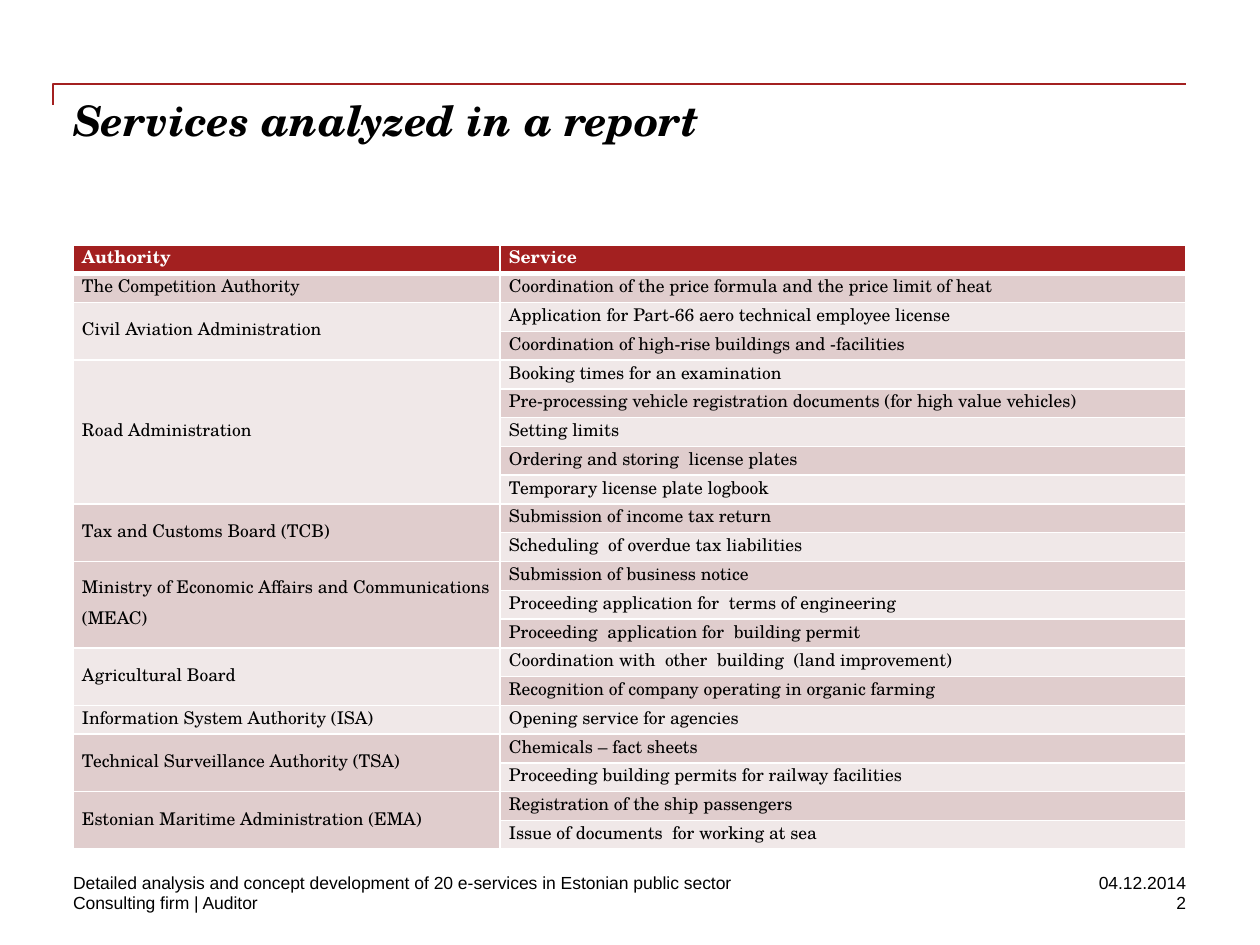
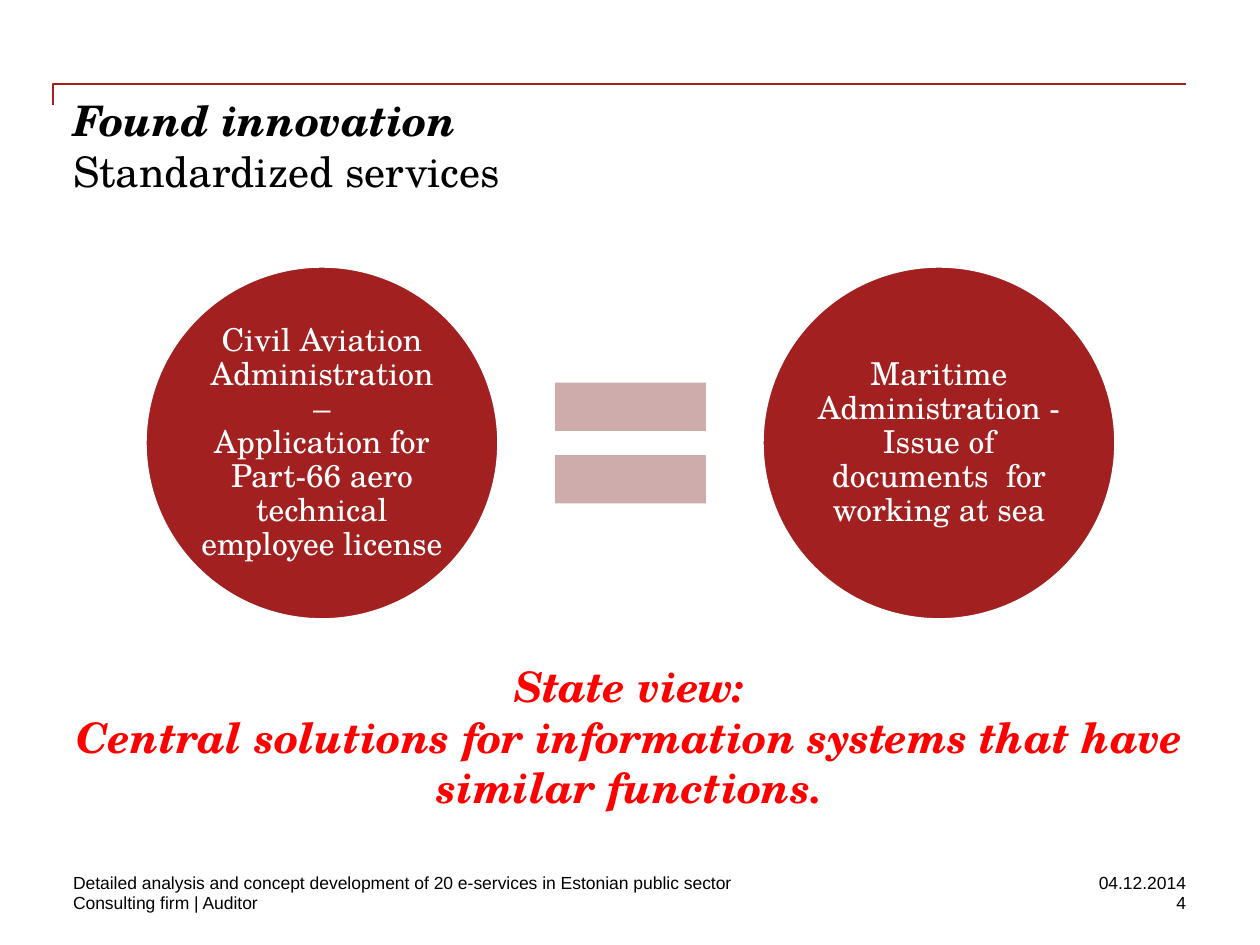
from pptx import Presentation
from pptx.dml.color import RGBColor
from pptx.enum.shapes import MSO_SHAPE
from pptx.enum.text import MSO_ANCHOR, PP_ALIGN
from pptx.oxml.ns import qn
from pptx.util import Emu, Pt
from lxml.etree import SubElement

PX_PER_INCH = 126
SERIF, SANS = "TeX Gyre Schola", "Arial"
COLORS = {
    "brand": "A32020",
    "band_dark": "E0CDCD",
    "band_light": "F0E8E8",
    "equal_sign": "CEACAC",
    "text": "000000",
    "white": "FFFFFF",
    "highlight": "FF0000",
}

LEFT, WIDTH = 73, 1113
RIGHT = LEFT + WIDTH
REPORT = "Detailed analysis and concept development of 20 e-services in Estonian public sector"
AUTHORS = "Consulting firm | Auditor"
DATE = "04.12.2014"

SERVICES_BY_AUTHORITY = [
    ("The Competition Authority", ["Coordination of the price formula and the price limit of heat"]),
    ("Civil Aviation Administration", [
        "Application for Part-66 aero technical employee license",
        "Coordination of high-rise buildings and -facilities"]),
    ("Road Administration", [
        "Booking times for an examination",
        "Pre-processing vehicle registration documents (for high value vehicles)",
        "Setting limits",
        "Ordering and storing  license plates",
        "Temporary license plate logbook"]),
    ("Tax and Customs Board (TCB)", [
        "Submission of income tax return",
        "Scheduling  of overdue tax liabilities"]),
    ("Ministry of Economic Affairs and Communications\n(MEAC)", [
        "Submission of business notice",
        "Proceeding application for  terms of engineering",
        "Proceeding  application for  building permit"]),
    ("Agricultural Board", [
        "Coordination with  other  building  (land improvement)",
        "Recognition of company operating in organic farming"]),
    ("Information System Authority (ISA)", ["Opening service for agencies"]),
    ("Technical Surveillance Authority (TSA)", [
        "Chemicals – fact sheets",
        "Proceeding building permits for railway facilities"]),
    ("Estonian Maritime Administration (EMA)", [
        "Registration of the ship passengers",
        "Issue of documents  for working at sea"]),
]


def px(length):
    return Emu(round(length * 914400 / PX_PER_INCH))


def rgb(name):
    return RGBColor.from_string(COLORS[name])


def write(frame, text, size, color="text", font=SERIF, strong=False, align=PP_ALIGN.LEFT):
    """Fill a frame, one paragraph a line; strong means bold italic."""
    frame.text = text
    for paragraph in frame.paragraphs:
        paragraph.alignment = align
        paragraph.font.name = font
        paragraph.font.size = Pt(size)
        paragraph.font.bold = paragraph.font.italic = strong
        paragraph.font.color.rgb = rgb(color)


def set_insets(frame, inset):
    frame.margin_left = frame.margin_top = frame.margin_right = frame.margin_bottom = px(inset)


def add_text(slide, box, text, size, **style):
    frame = slide.shapes.add_textbox(*map(px, box)).text_frame
    frame.word_wrap = True
    set_insets(frame, 0)
    write(frame, text, size, **style)
    return frame


def add_filled_shape(slide, preset, box, fill):
    shape = slide.shapes.add_shape(preset, *map(px, box))
    shape.shadow.inherit = False
    shape.fill.solid()
    shape.fill.fore_color.rgb = rgb(fill)
    shape.line.fill.background()
    return shape


def add_corner_rule(slide):
    """Draw the thin rule above the title with its short drop on the left."""
    outline = slide.shapes.build_freeform(53, 105, scale=914400 / PX_PER_INCH)
    outline.add_line_segments([(53, 84), (RIGHT, 84)], close=False)
    rule = outline.convert_to_shape()
    rule.shadow.inherit = False
    rule.fill.background()
    rule.line.color.rgb = rgb("brand")
    rule.line.width = Pt(1)


def add_footer(slide, number):
    rows = [(872, REPORT, DATE), (892, AUTHORS, str(number))]
    for top, left_text, right_text in rows:
        add_text(slide, (LEFT, top, 725, 21), left_text, 10, font=SANS)
        add_text(slide, (RIGHT - 210, top, 210, 21), right_text, 10, font=SANS,
                 align=PP_ALIGN.RIGHT)


def add_content_slide(deck, number, title, subtitle=None):
    slide = deck.slides.add_slide(deck.slide_layouts[6])
    add_corner_rule(slide)
    heading = title if subtitle is None else f"{title}\n{subtitle}"
    frame = add_text(slide, (LEFT, 95, WIDTH, 126), heading, 24, strong=True)
    for paragraph in frame.paragraphs[1:]:
        paragraph.font.bold = paragraph.font.italic = False
    add_footer(slide, number)
    return slide


def set_borders(cell, **widths):
    properties = cell._tc.get_or_add_tcPr()
    for side in ("L", "R", "T", "B"):
        line = SubElement(properties, qn(f"a:ln{side}"), w=str(Pt(widths.get(side, 1))))
        fill = SubElement(line, qn("a:solidFill"))
        SubElement(fill, qn("a:srgbClr"), val=COLORS["white"])


def fill_cell(cell, text, fill, color="text", bold=False):
    cell.fill.solid()
    cell.fill.fore_color.rgb = rgb(fill)
    cell.vertical_anchor = MSO_ANCHOR.MIDDLE
    cell.margin_left = cell.margin_right = px(9)
    cell.margin_top = cell.margin_bottom = 0
    write(cell.text_frame, text, 10, color)
    for index, paragraph in enumerate(cell.text_frame.paragraphs):
        paragraph.font.bold = bold
        paragraph.line_spacing = Pt(12)
        paragraph.space_before = Pt(3 if index else 0)
        paragraph.space_after = Pt(3)


def add_service_table(slide, box):
    row_count = 1 + sum(len(services) for _, services in SERVICES_BY_AUTHORITY)
    table = slide.shapes.add_table(row_count, 2, *map(px, box)).table
    table.horz_banding = False
    table.columns[0].width, table.columns[1].width = px(427), px(box[2] - 427)
    for index, row in enumerate(table.rows):
        row.height = px(box[3] / row_count)
        for cell in row.cells:
            set_borders(cell, B=3 if index == 0 else 1, T=3 if index == 1 else 1)

    for column, heading in enumerate(["Authority", "Service"]):
        fill_cell(table.cell(0, column), heading, "brand", "white", bold=True)

    first = 1
    for authority, services in SERVICES_BY_AUTHORITY:
        for row, service in enumerate(services, first):
            band = "band_dark" if row % 2 else "band_light"
            fill_cell(table.cell(row, 1), service, band)
        fill_cell(table.cell(first, 0), authority, "band_dark" if first % 2 else "band_light")
        last = first + len(services) - 1
        if last > first:
            table.cell(first, 0).merge(table.cell(last, 0))
        first = last + 1


def add_circle(slide, left, top, diameter, text):
    circle = add_filled_shape(slide, MSO_SHAPE.OVAL, (left, top, diameter, diameter), "brand")
    circle.line.color.rgb = rgb("white")
    circle.line.width = Pt(2)
    frame = circle.text_frame
    frame.word_wrap = True
    frame.vertical_anchor = MSO_ANCHOR.MIDDLE
    set_insets(frame, 3)
    write(frame, text, 18, "white", align=PP_ALIGN.CENTER)
    for paragraph in frame.paragraphs:
        paragraph.line_spacing = 0.9


def add_equation(slide, left, top, left_service, right_service):
    """Place two service circles with an equal sign between them."""
    diameter, sign, gap = 354, 205, 29
    sign_left = left + diameter + gap
    add_circle(slide, left, top, diameter, left_service)
    add_filled_shape(slide, MSO_SHAPE.MATH_EQUAL,
                     (sign_left, top + (diameter - sign) / 2, sign, sign), "equal_sign")
    add_circle(slide, sign_left + sign + gap, top, diameter, right_service)


def main():
    deck = Presentation()
    deck.slide_width, deck.slide_height = px(1260), px(945)

    services = add_content_slide(deck, 2, "Services analyzed in a report")
    add_service_table(services, (LEFT, 245, WIDTH, 605))

    innovation = add_content_slide(deck, 4, "Found innovation", "Standardized services")
    add_equation(
        innovation, 145, 266,
        "Civil Aviation Administration –\n"
        "Application for Part-66 aero technical employee license",
        "Maritime Administration - Issue of documents  for working at sea")
    add_text(
        innovation, (LEFT, 661, WIDTH, 189),
        "State view:\nCentral solutions for information systems that have similar functions.",
        24, color="highlight", strong=True, align=PP_ALIGN.CENTER)

    deck.save("out.pptx")


if __name__ == "__main__":
    main()
